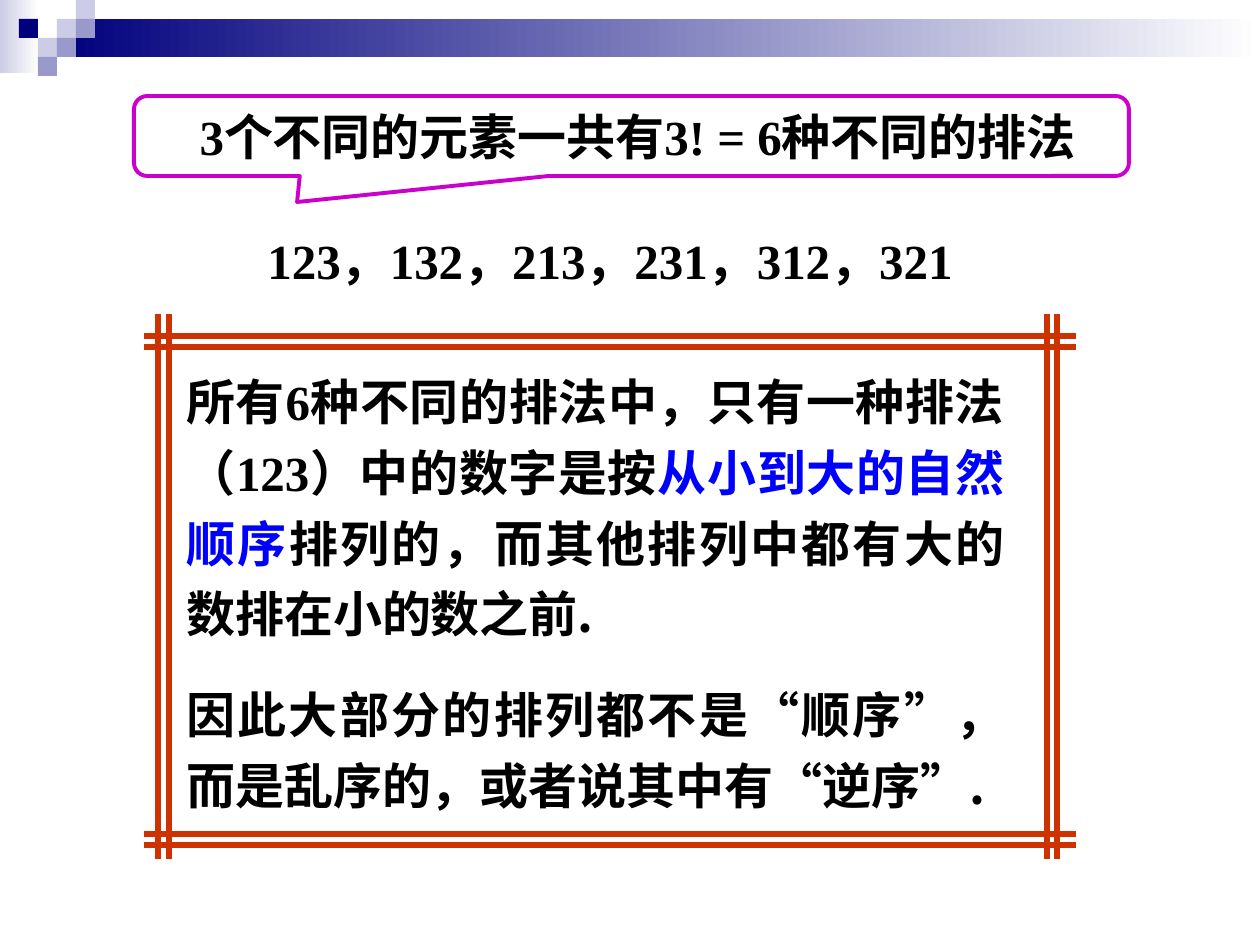
from pptx import Presentation
from pptx.dml.color import RGBColor as RGB
from pptx.enum.lang import MSO_LANGUAGE_ID as Lang
from pptx.enum.shapes import MSO_CONNECTOR as Conn, MSO_SHAPE as Kind
from pptx.enum.text import MSO_ANCHOR as Anchor, MSO_AUTO_SIZE as Fit, PP_ALIGN as Align
from pptx.oxml.ns import qn
from pptx.util import Pt
from lxml import etree

PX = 914400 / 126
theme = {
    "white": RGB.from_string("FFFFFF"),
    "navy": RGB.from_string("00007D"),
    "mid": RGB.from_string("9999CC"),
    "pale": RGB.from_string("CCCCE6"),
    "frame": RGB.from_string("CC3300"),
    "bubble": RGB.from_string("CC00CC"),
    "ink": RGB.from_string("000000"),
    "blue": RGB.from_string("0000FF"),
    "size": Pt(28),
    "serif": "Times New Roman",
    "sans": "Noto Sans CJK SC",
}


def px(*nums):
    return [round(n * PX) for n in nums]


def write(para, runs, form):
    for name, val in form.items():
        setattr(para, name, val)
    for text, tint, face in runs:
        run = para.add_run()
        run.text = text
        look = {"size": theme["size"], "bold": True, "name": theme[face],
                "language_id": Lang.SIMPLIFIED_CHINESE}
        for name, val in look.items():
            setattr(run.font, name, val)
        run.font.color.rgb = theme[tint]
        east = etree.Element(qn("a:ea"), typeface=theme["sans"])
        run.font._element.find(qn("a:latin")).addnext(east)


deck = Presentation()
deck.slide_width, deck.slide_height = px(1260, 945)
slide = deck.slides.add_slide(deck.slide_layouts[6])
shapes = slide.shapes

for box, tint in [((0, 0, 39, 73), "pale"), ((57, 19, 1203, 38), "navy")]:
    bar = shapes.add_shape(Kind.RECTANGLE, *px(*box))
    bar.shadow.inherit = False
    bar.line.fill.background()
    bar.fill.gradient()
    bar.fill.gradient_angle = 180
    for stop, hue in zip(bar.fill.gradient_stops, ("white", tint)):
        stop.color.rgb = theme[hue]

step = 19
tiles = [(3, 1, "pale"), (4, 0, "pale"), (4, 1, "mid"), (2, 2, "pale"),
         (1, 1, "navy"), (3, 2, "mid"), (2, 3, "mid")]
for col, row, tint in tiles:
    tile = shapes.add_shape(Kind.RECTANGLE, *px(col * step, row * step, step, step))
    tile.shadow.inherit = False
    tile.line.fill.background()
    tile.fill.solid()
    tile.fill.fore_color.rgb = theme[tint]

rails = [(144, y, 1076, y) for y in (336, 347, 834, 845)]
posts = [(x, 859, x, 314) for x in (169, 158, 1057, 1047)]
for ends in rails + posts:
    line = shapes.add_connector(Conn.STRAIGHT, *px(*ends))
    line.line.color.rgb = theme["frame"]
    line.line.width = Pt(3)
    etree.SubElement(line._element.spPr, qn("a:effectLst"))

bubble = shapes.add_shape(Kind.ROUNDED_RECTANGULAR_CALLOUT, *px(134, 96, 995, 80))
bubble.shadow.inherit = False
bubble.fill.background()
bubble.line.color.rgb = theme["bubble"]
bubble.line.width = Pt(2.25)
for i, val in enumerate((-0.336, 0.825, 0.167)):
    bubble.adjustments[i] = val
frame = bubble.text_frame
frame.word_wrap = False
frame.vertical_anchor = Anchor.MIDDLE
write(frame.paragraphs[0], [(" 3个不同的元素一共有3! = 6种不同的排法", "ink", "serif")],
      {"alignment": Align.CENTER})

body = [
    [("所有6种不同的排法中，只有一种排法（123）中的数字是按", "ink", "serif"),
     ("从小到大的自然顺序", "blue", "serif"),
     ("排列的，而其他排列中都有大的数排在小的数之前", "ink", "serif"),
     (".", "ink", "sans")],
    [("因此大部分的排列都不是“顺序”，而是乱序的，或者说其中有“逆序”", "ink", "serif"),
     (".", "ink", "sans")],
]
perms = [[("123，132，213，231，312，321", "ink", "serif")]]
notes = [
    ((174, 354, 843, 467), body, {"alignment": Align.JUSTIFY, "line_spacing": 1.2}),
    ((154, 224, 912, 72), perms, {"alignment": Align.CENTER}),
]
for box, paras, form in notes:
    frame = shapes.add_textbox(*px(*box)).text_frame
    frame.word_wrap = True
    frame.auto_size = Fit.SHAPE_TO_FIT_TEXT
    for i, runs in enumerate(paras):
        para = frame.add_paragraph() if i else frame.paragraphs[0]
        write(para, runs, form | ({"space_before": Pt(17.5)} if i else {}))

deck.save("out.pptx")
